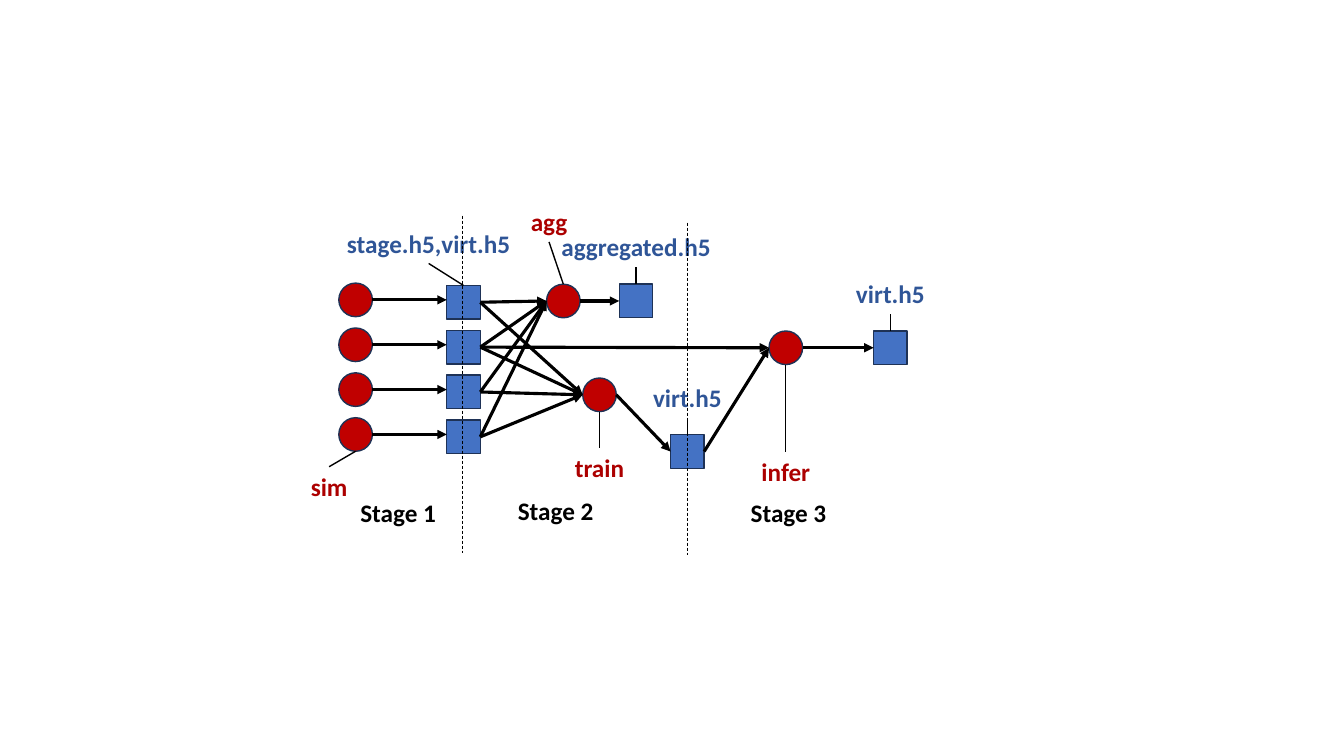
import pptx
import pptx.util
import pptx.dml.color
import pptx.enum.dml
import pptx.enum.shapes
import pptx.enum.text
import pptx.oxml
import pptx.oxml.ns

Pt = pptx.util.Pt
KIND = pptx.enum.shapes.MSO_SHAPE
COLORS = {
    "task": "C00000",
    "file": "4472C4",
    "edge": "1E3256",
    "red": "AC0000",
    "blue": "2F5597",
    "black": "000000",
}
SIZE = 24    # side of every node
HIGH = 28.8  # height of every text box
STEP = 32.05  # pitch of the rows in stage 1


def paint(name):
    return pptx.dml.color.RGBColor.from_string(COLORS[name])


def write(frame, text, color="black", size=18, bold=True, font="Calibri"):
    frame.word_wrap = True
    para = frame.paragraphs[0]
    para.alignment = pptx.enum.text.PP_ALIGN.CENTER
    run = para.add_run()
    run.text = text
    run.font.name = font
    run.font.size = Pt(size)
    run.font.bold = bold
    run.font.color.rgb = paint(color)


class Board:
    """Draws the parts of a workflow on one slide."""

    def __init__(self, slide):
        self.shapes = slide.shapes

    def node(self, kind, left, top):
        """Draw a task or file and return its left and top."""
        form = KIND.OVAL if kind == "task" else KIND.RECTANGLE
        shape = self.shapes.add_shape(form, Pt(left), Pt(top), Pt(SIZE), Pt(SIZE))
        shape.shadow.inherit = False
        shape.fill.solid()
        shape.fill.fore_color.rgb = paint(kind)
        shape.line.color.rgb = paint("edge")
        shape.line.width = Pt(1)
        return left, top

    def line(self, start, end, width=1, dash=False, arrow=False):
        straight = pptx.enum.shapes.MSO_CONNECTOR.STRAIGHT
        item = self.shapes.add_connector(straight, *map(Pt, start + end))
        item.line.color.rgb = paint("black")
        item.line.width = Pt(width)
        if dash:
            item.line.dash_style = pptx.enum.dml.MSO_LINE.DASH
        if arrow:
            space = pptx.oxml.ns.nsdecls("a")
            tip = pptx.oxml.parse_xml(f'<a:tailEnd {space} type="triangle"/>')
            item.line._get_or_add_ln().append(tip)
        props = item._element.spPr
        props.append(pptx.oxml.parse_xml(f'<a:effectLst {pptx.oxml.ns.nsdecls("a")}/>'))

    def link(self, source, target, level=False):
        """Draw an arrow from the right of source to the left of target."""
        start = source[0] + SIZE, source[1] + SIZE / 2
        end = target[0], start[1] if level else target[1] + SIZE / 2
        self.line(start, end, width=2.25, arrow=True)

    def text(self, words, mid, top, wide, **style):
        box = self.shapes.add_textbox(Pt(mid - wide / 2), Pt(top), Pt(wide), Pt(HIGH))
        write(box.text_frame, words, **style)

    def label(self, node, words, tip, color, wide):
        """Write a node's name beyond tip, joined to the node by a thin line."""
        left, top = node
        above = tip[1] < top
        edge = left + SIZE / 2, top if above else top + SIZE
        self.text(words, tip[0], tip[1] - HIGH if above else tip[1], wide, color=color)
        self.line(edge, tip)


def main():
    deck = pptx.Presentation()
    deck.slide_width, deck.slide_height = Pt(960), Pt(540)
    board = Board(deck.slides.add_slide(deck.slide_layouts[6]))

    sims = [board.node("task", 242, 202.2 + STEP * row) for row in range(4)]
    files = [board.node("file", 319.1, 203.9 + STEP * row) for row in range(4)]
    agg = board.node("task", 390.4, 203)
    whole = board.node("file", 442.3, 203)
    train = board.node("task", 416.2, 270)
    model = board.node("file", 479, 310.5)
    infer = board.node("task", 549.3, 236.4)
    result = board.node("file", 624, 236.4)

    for sim, file in zip(sims, files):
        board.link(sim, file, level=True)
    for task in (agg, train):
        for file in files:
            board.link(file, task)
    for source, target in (
        (agg, whole), (train, model), (files[1], infer),
        (model, infer), (infer, result),
    ):
        board.link(source, target)

    for node, words, tip in (
        (sims[-1], "sim", (235.1, 333.4)),
        (agg, "agg", (392.2, 172.8)),
        (train, "train", (428.2, 319.7)),
        (infer, "infer", (561.3, 322.6)),
    ):
        board.label(node, words, tip, "red", 96)
    for node, words, tip, wide in (
        (files[0], "stage.h5,virt.h5", (306.2, 188.2), 143.3),
        (whole, "aggregated.h5", (454.3, 190.8), 121),
        (model, "virt.h5", (491, 298.4), 121),
        (result, "virt.h5", (636, 224), 121),
    ):
        board.label(node, words, tip, "blue", wide)

    for x, top, low in ((330.6, 154.1, 395.3), (491, 159.1, 396.7)):
        board.line((x, top), (x, low), width=0.5, dash=True)
    for stage, (mid, top) in enumerate(((284.4, 351.6), (396.9, 350.4), (563.2, 351.6)), 1):
        board.text(f"Stage {stage}", mid, top, 80.6)

    deck.save("out.pptx")


if __name__ == "__main__":
    main()
